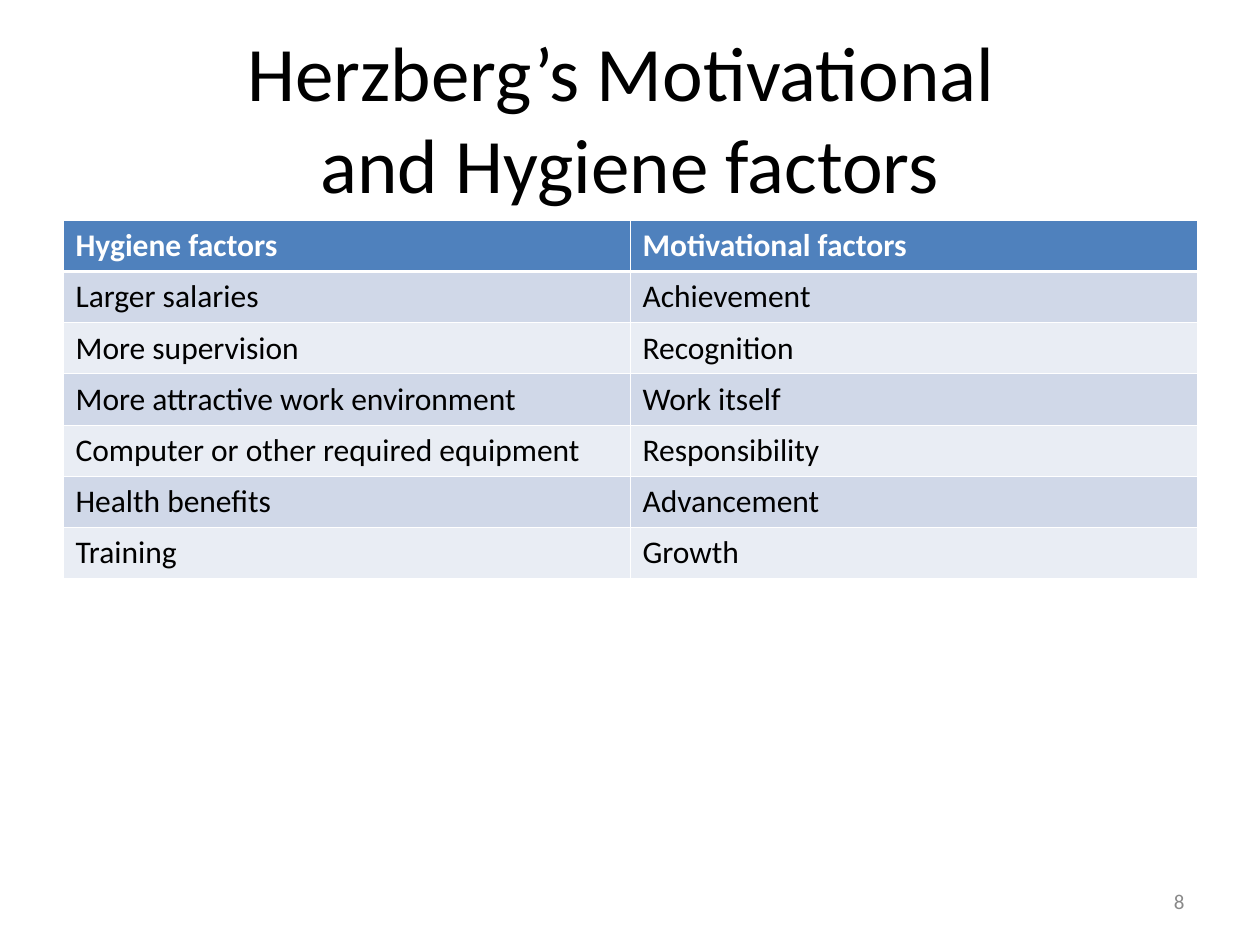
from lxml import etree
from pptx import Presentation
from pptx.dml.color import RGBColor
from pptx.enum.text import MSO_ANCHOR, PP_ALIGN
from pptx.oxml.ns import qn
from pptx.util import Pt

CENTER = PP_ALIGN.CENTER
RIGHT = PP_ALIGN.RIGHT
MIDDLE = MSO_ANCHOR.MIDDLE

BLACK = RGBColor(0x00, 0x00, 0x00)
WHITE = RGBColor(0xFF, 0xFF, 0xFF)
GREY = RGBColor(0x89, 0x89, 0x89)
HEADER_BLUE = RGBColor(0x4F, 0x81, 0xBD)
BAND_DARK = RGBColor(0xD0, 0xD8, 0xE8)
BAND_LIGHT = RGBColor(0xE9, 0xED, 0xF4)

FACTORS = [
    ("Hygiene factors", "Motivational factors"),
    ("Larger salaries", "Achievement"),
    ("More supervision", "Recognition"),
    ("More attractive work environment", "Work itself"),
    ("Computer or other required equipment", "Responsibility"),
    ("Health benefits", "Advancement"),
    ("Training", "Growth"),
]


class SlideBuilder:
    font_name = "Calibri"
    thin_line = 0.45
    header_line = 1.47

    def __init__(self, page):
        self.page = page

    def set_text(self, frame, text, size, color, align=None, bold=False):
        paragraph = frame.paragraphs[0]
        paragraph.text = text
        paragraph.alignment = align
        font = paragraph.font
        font.name, font.size, font.bold = self.font_name, Pt(size), bold
        font.color.rgb = color

    def text_box(self, left, top, width, height, text, size, color, align):
        box = self.page.shapes.add_textbox(Pt(left), Pt(top), Pt(width), Pt(height))
        frame = box.text_frame
        frame.word_wrap = True
        frame.vertical_anchor = MIDDLE
        self.set_text(frame, text, size, color, align)

    def border(self, cell, top, bottom):
        """Draw white cell edges; the lines must come before the fill."""
        properties = cell._tc.get_or_add_tcPr()
        edges = [("L", self.thin_line), ("R", self.thin_line), ("T", top), ("B", bottom)]
        for index, (side, width) in enumerate(edges):
            line = etree.Element(qn(f"a:ln{side}"), w=str(Pt(width)))
            fill = etree.SubElement(line, qn("a:solidFill"))
            etree.SubElement(fill, qn("a:srgbClr"), val=str(WHITE))
            properties.insert(index, line)

    def table(self, left, top, width, row_height, rows):
        columns = len(rows[0])
        table = self.page.shapes.add_table(
            len(rows), columns, Pt(left), Pt(top), Pt(width), Pt(row_height * len(rows))
        ).table
        for column in table.columns:
            column.width = Pt(width / columns)
        for row_index, texts in enumerate(rows):
            table.rows[row_index].height = Pt(row_height)
            header = row_index == 0
            band = BAND_DARK if row_index % 2 else BAND_LIGHT
            for column_index, text in enumerate(texts):
                cell = table.cell(row_index, column_index)
                cell.fill.solid()
                cell.fill.fore_color.rgb = HEADER_BLUE if header else band
                self.border(
                    cell,
                    top=self.header_line if row_index == 1 else self.thin_line,
                    bottom=self.header_line if header else self.thin_line,
                )
                self.set_text(cell.text_frame, text, 18, WHITE if header else BLACK, bold=header)


def main():
    deck = Presentation()
    deck.slide_width, deck.slide_height = Pt(720), Pt(540)
    builder = SlideBuilder(deck.slides.add_slide(deck.slide_layouts[6]))
    builder.text_box(36, 21.6, 648, 90, "Herzberg’s Motivational \vand Hygiene factors",
                     44, BLACK, CENTER)
    builder.table(36, 126, 648, 29.2, FACTORS)
    builder.text_box(516, 500.5, 168, 28.75, "8", 12, GREY, RIGHT)
    deck.save("out.pptx")


if __name__ == "__main__":
    main()
